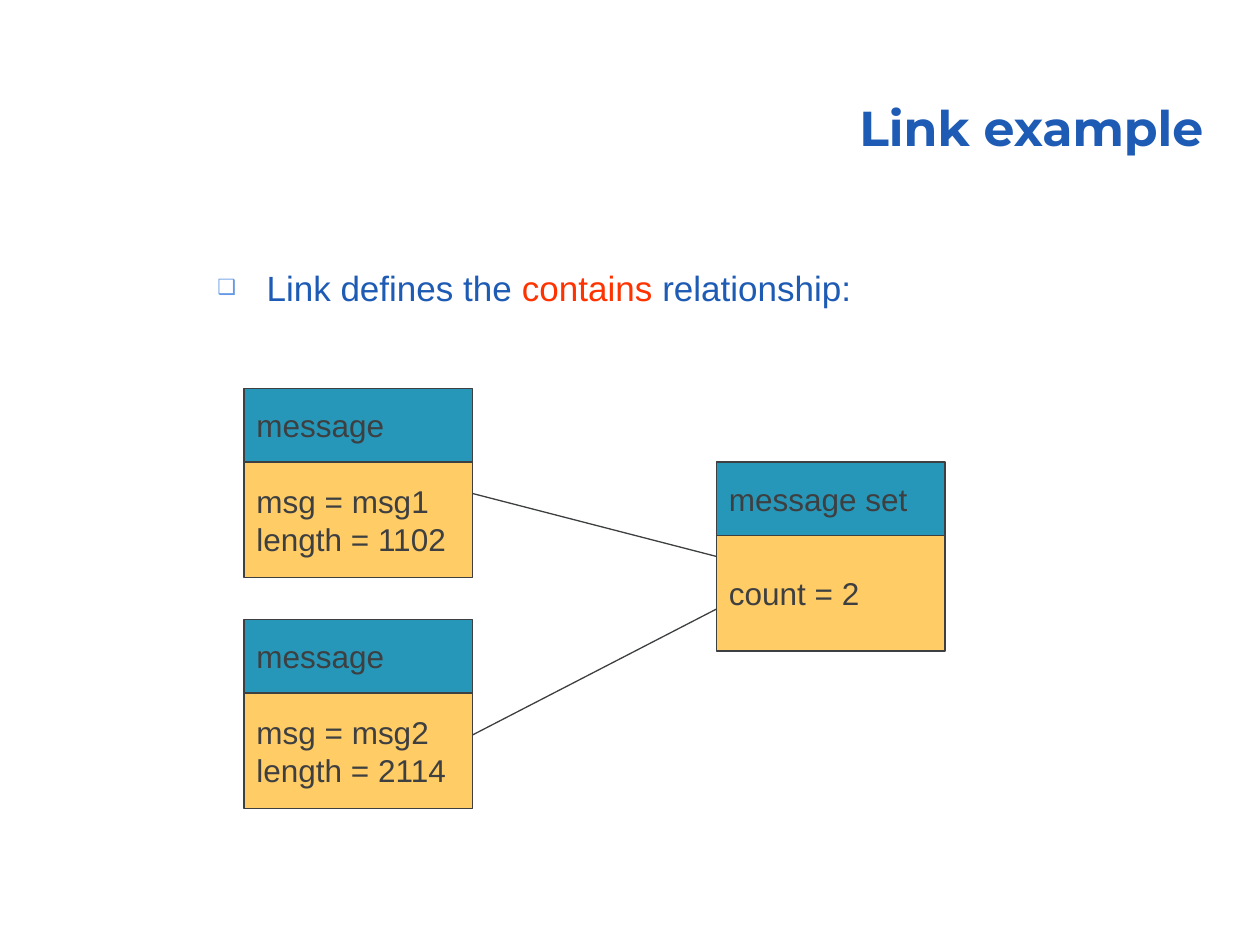
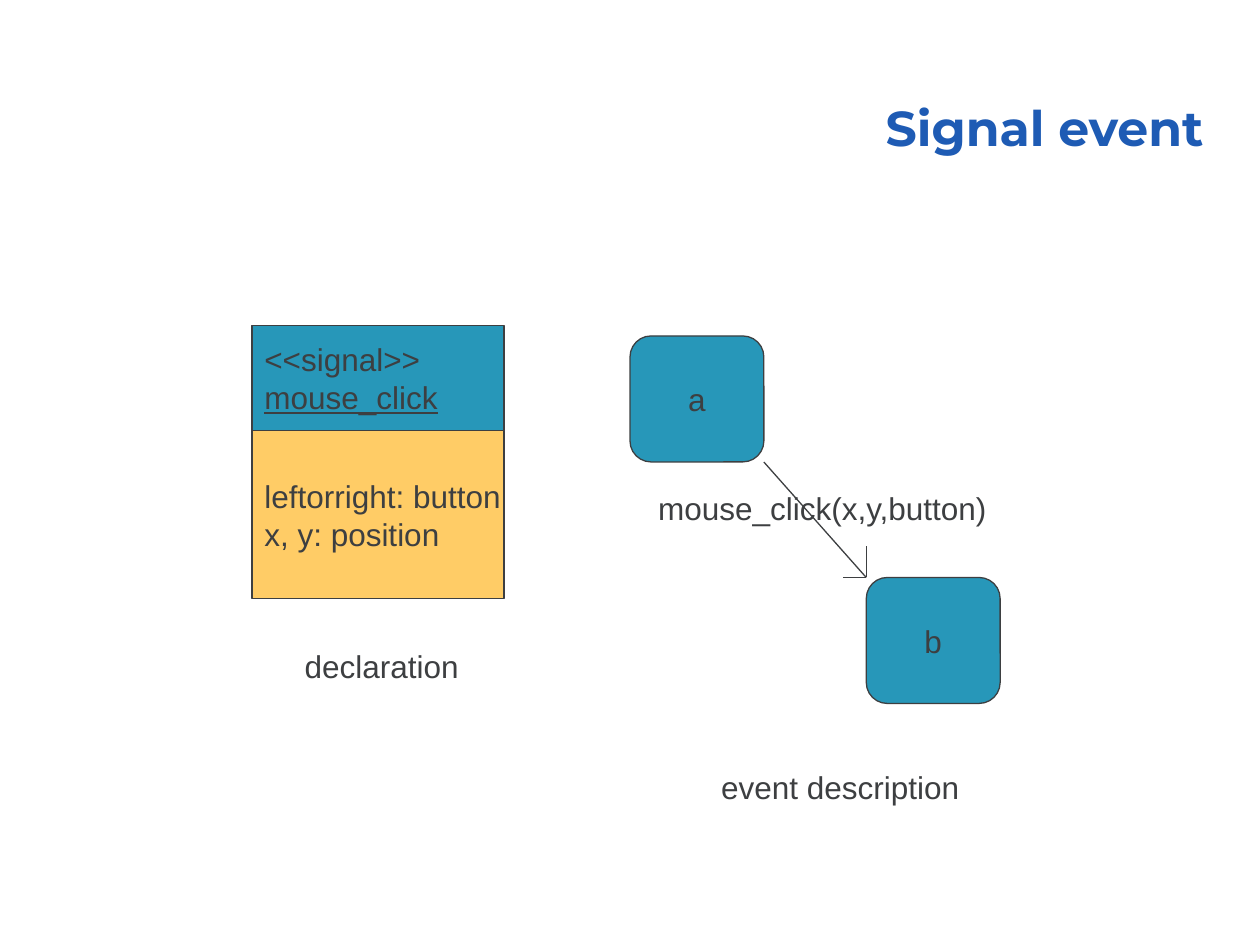
import pptx
import pptx.util
import pptx.dml.color
import pptx.enum.shapes
import pptx.enum.text
import pptx.oxml.ns
from lxml import etree

SHAPE = pptx.enum.shapes.MSO_SHAPE
ALIGN = pptx.enum.text.PP_ALIGN
ANCHOR = pptx.enum.text.MSO_ANCHOR
FIT = pptx.enum.text.MSO_AUTO_SIZE

THEME = {
    "blue": "1E5BB4", "red": "FF3300", "bullet": "6599E5",
    "teal": "2797B9", "amber": "FFCC66", "ink": "3D3F41",
    "heading": "Montserrat", "body": "Arial",
    "title_size": 28, "lead_size": 20, "label_size": 18, "line": 0.75,
}
WIDTH, HEIGHT = 10, 7.5
COLUMNS, ROWS = 160, 90

# All places are (column, row, columns wide, rows high).
TITLE_AREA = (47, 6.4, 107.4, 9.2)
LEAD_AREA = (26, 24.8, 107.4, 9.2)
CAPTION_ROWS = 4.8
STATE_SIZE = (17, 12)

LINK_SLIDE = {
    "title": "Link example",
    "lead": [("Link defines the ", "blue"), ("contains", "red"), (" relationship:", "blue")],
    # column, row, width, (head lines, rows), (attribute lines, rows)
    "classes": [
        (31, 37, 29, (["message"], 7), (["msg = msg1", "length = 1102"], 11)),
        (31, 59, 29, (["message"], 7), (["msg = msg2", "length = 2114"], 11)),
        (91, 44, 29, (["message set"], 7), (["count = 2"], 11)),
    ],
    "lines": [((60, 47), (91, 53)), ((60, 70), (91, 58))],
}
SIGNAL_SLIDE = {
    "title": "Signal event",
    "classes": [
        (32, 31, 32, (["<<signal>>", "mouse_click"], 10),
         (["leftorright: button", "x, y: position"], 16)),
    ],
    "underlined": "mouse_click",
    "states": [("a", 80, 32), ("b", 110, 55)],
    "lines": [((97, 44), (110, 55)), ((110, 55), (110, 52)), ((110, 55), (107, 55))],
    "captions": [
        ("declaration", 37.1, 61, 23.2),
        ("mouse_click(x,y,button)", 82, 46, 45.4),
        ("event description", 90, 72.6, 33.6),
    ],
}


def across(columns):
    return pptx.util.Inches(columns * WIDTH / COLUMNS)


def down(rows):
    return pptx.util.Inches(rows * HEIGHT / ROWS)


def place(column, row, columns, rows):
    return across(column), down(row), across(columns), down(rows)


def color(name):
    return pptx.dml.color.RGBColor.from_string(THEME[name])


def apply(target, values):
    for name, value in values.items():
        setattr(target, name, value)


def style(font, size="label_size", ink="ink", face="body", **extra):
    apply(font, {"size": pptx.util.Pt(THEME[size]), "name": THEME[face], **extra})
    font.color.rgb = color(ink)


def move(shape, area):
    apply(shape, dict(zip(("left", "top", "width", "height"), place(*area))))


def write(frame, lines, align=ALIGN.LEFT, underlined=None):
    frame.word_wrap = False
    for index, text in enumerate(lines):
        para = frame.paragraphs[0] if index == 0 else frame.add_paragraph()
        para.alignment = align
        span = para.add_run()
        span.text = text
        style(span.font)
        if text == underlined:
            span.font.underline = True


def add_box(page, area, lines, fill, kind=SHAPE.RECTANGLE, **text_format):
    box = page.shapes.add_shape(kind, *place(*area))
    box.shadow.inherit = False
    box.fill.solid()
    box.fill.fore_color.rgb = color(fill)
    box.line.color.rgb = color("ink")
    box.line.width = pptx.util.Pt(THEME["line"])
    box.text_frame.vertical_anchor = ANCHOR.MIDDLE
    write(box.text_frame, lines, **text_format)


def add_class(page, column, row, width, head, attributes, underlined):
    """Stack the attribute box directly under the head box."""
    for (lines, rows), fill in ((head, "teal"), (attributes, "amber")):
        add_box(page, (column, row, width, rows), lines, fill, underlined=underlined)
        row += rows


def add_line(page, start, end):
    line = page.shapes.add_connector(
        pptx.enum.shapes.MSO_CONNECTOR.STRAIGHT,
        across(start[0]), down(start[1]), across(end[0]), down(end[1]))
    line.line.color.rgb = color("ink")
    line.line.width = pptx.util.Pt(THEME["line"])
    etree.SubElement(line._element.spPr, pptx.oxml.ns.qn("a:effectLst"))


def add_caption(page, text, column, row, width):
    caption = page.shapes.add_textbox(*place(column, row, width, CAPTION_ROWS))
    write(caption.text_frame, [text])
    caption.text_frame.auto_size = FIT.SHAPE_TO_FIT_TEXT


def set_title(page, text):
    title = page.shapes.title
    move(title, TITLE_AREA)
    apply(title.text_frame, {"text": text, "vertical_anchor": ANCHOR.BOTTOM,
                             "word_wrap": True, "auto_size": FIT.NONE})
    para = title.text_frame.paragraphs[0]
    apply(para, {"alignment": ALIGN.RIGHT, "line_spacing": 0.9})
    style(para.runs[0].font, "title_size", "blue", "heading", bold=True)


def set_lead(page, spans):
    lead = page.placeholders[1]
    move(lead, LEAD_AREA)
    apply(lead.text_frame, {"word_wrap": True, "auto_size": FIT.NONE})
    para = lead.text_frame.paragraphs[0]
    apply(para, {"alignment": ALIGN.JUSTIFY, "space_before": pptx.util.Pt(0)})
    properties = para._p.get_or_add_pPr()
    indent = pptx.util.Inches(0.39)
    properties.set("marL", str(indent))
    properties.set("indent", str(-indent))
    bullet_color = etree.SubElement(properties, pptx.oxml.ns.qn("a:buClr"))
    for parent, tag, name, value in (
            (bullet_color, "a:srgbClr", "val", THEME["bullet"]),
            (properties, "a:buSzPct", "val", "60000"),
            (properties, "a:buChar", "char", "❑")):
        etree.SubElement(parent, pptx.oxml.ns.qn(tag)).set(name, value)
    for text, ink in spans:
        span = para.add_run()
        span.text = text
        style(span.font, "lead_size", ink)


def build_page(deck, content):
    layout = "Title and Content" if "lead" in content else "Title Only"
    page = deck.slides.add_slide(deck.slide_layouts.get_by_name(layout))
    set_title(page, content["title"])
    if "lead" in content:
        set_lead(page, content["lead"])
    for entry in content["classes"]:
        add_class(page, *entry, content.get("underlined"))
    for name, column, row in content.get("states", []):
        add_box(page, (column, row, *STATE_SIZE), [name], "teal",
                SHAPE.ROUNDED_RECTANGLE, align=ALIGN.CENTER)
    for start, end in content["lines"]:
        add_line(page, start, end)
    for caption in content.get("captions", []):
        add_caption(page, *caption)


def main():
    deck = pptx.Presentation()
    apply(deck, {"slide_width": pptx.util.Inches(WIDTH),
                 "slide_height": pptx.util.Inches(HEIGHT)})
    for content in (LINK_SLIDE, SIGNAL_SLIDE):
        build_page(deck, content)
    deck.save("out.pptx")


if __name__ == "__main__":
    main()
